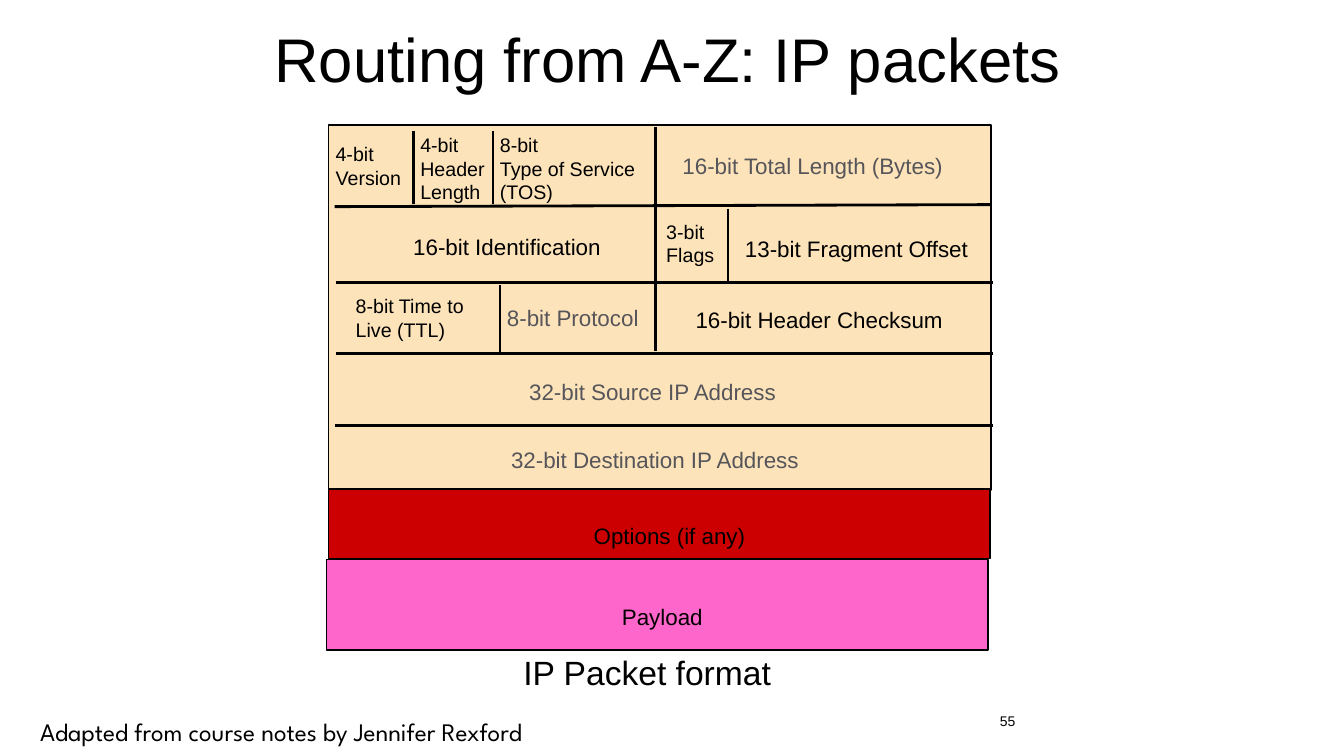
from lxml import etree
from pptx import Presentation
from pptx.dml.color import RGBColor
from pptx.enum.shapes import MSO_CONNECTOR, MSO_SHAPE
from pptx.enum.text import MSO_ANCHOR, MSO_AUTO_SIZE, PP_ALIGN
from pptx.oxml.ns import qn
from pptx.util import Emu, Pt

PX = 9144  # 100 px to the inch
RECT = MSO_SHAPE.RECTANGLE
LINE = MSO_CONNECTOR.STRAIGHT
MID = MSO_ANCHOR.MIDDLE
TOP = MSO_ANCHOR.TOP
LEFT = PP_ALIGN.LEFT
MIDDLE = PP_ALIGN.CENTER
GROW = MSO_AUTO_SIZE.SHAPE_TO_FIT_TEXT
FIXED = MSO_AUTO_SIZE.NONE

HUES = {"ink": "000000", "gray": "56555A", "head": "FDE3BA",
        "opts": "CC0000", "load": "FF66CC"}

# Packet parts: left, top, width, height, fill
BANDS = [
    (326, 124, 657, 362, "head"),
    (326, 485, 656, 69, "opts"),
    (324, 555, 656, 90, "load"),
]

# Rules between the fields: start and end points
RULES = [
    (332, 205, 983, 203),
    (333, 280, 985, 280),
    (333, 351, 985, 351),
    (332, 422, 985, 422),
    (650, 126, 650, 348),
    (410, 130, 410, 202),
    (489, 130, 489, 202),
    (722, 207, 722, 279),
    (496, 283, 496, 349),
]

# Field names: left, top, width, text, colour
FIELDS = [
    (323, 136, 91, "4-bit\nVersion", "ink"),
    (407, 127, 86, "4-bit\nHeader\nLength", "ink"),
    (486, 127, 163, "8-bit\nType of Service\n(TOS)", "ink"),
    (667, 146, 300, "16-bit Total Length (Bytes)", "gray"),
    (400, 226, 206, "16-bit Identification", "ink"),
    (651, 213, 70, "3-bit\nFlags", "ink"),
    (729, 228, 243, "13-bit Fragment Offset", "ink"),
    (343, 287, 140, "8-bit Time to\nLive (TTL)", "ink"),
    (493, 297, 163, "8-bit Protocol", "gray"),
    (680, 299, 265, "16-bit Header Checksum", "ink"),
    (515, 370, 283, "32-bit Source IP Address", "gray"),
    (497, 438, 329, "32-bit Destination IP Address", "gray"),
    (579, 513, 171, "Options (if any)", "ink"),
    (607, 593, 100, "Payload", "ink"),
]


def px(*nums):
    return [Emu(n * PX) for n in nums]


def hue(name):
    return RGBColor.from_string(HUES[name])


def style(frame, text, size, tint="ink", face="Arial", align=LEFT):
    frame.text = text
    for para in frame.paragraphs:
        para.alignment = align
        for run in para.runs:
            run.font.size = Pt(size)
            run.font.name = face
            run.font.color.rgb = hue(tint)


def fill_holder(holder, box, text, size, align, anchor):
    holder.left, holder.top, holder.width, holder.height = px(*box)
    frame = holder.text_frame
    frame.auto_size = FIXED
    frame.vertical_anchor = anchor
    style(frame, text, size, align=align)
    para = frame.paragraphs[0]
    props = para._p.get_or_add_pPr()
    props.set("marL", "0")
    props.set("indent", "0")
    etree.SubElement(props, qn("a:buNone"))
    para.line_spacing = 0.9
    para.space_before = Pt(0)


def add_text(slide, box, text, size, **look):
    frame = slide.shapes.add_textbox(*px(*box)).text_frame
    frame.word_wrap = False
    frame.auto_size = GROW
    style(frame, text, size, **look)


def add_band(slide, box, tint):
    band = slide.shapes.add_shape(RECT, *px(*box))
    band.shadow.inherit = False
    band.fill.solid()
    band.fill.fore_color.rgb = hue(tint)
    band.line.color.rgb = hue("ink")
    band.line.width = Pt(1)


def add_rule(slide, ends):
    rule = slide.shapes.add_connector(LINE, *px(*ends))
    rule.line.color.rgb = hue("ink")
    rule.line.width = Pt(2)
    etree.SubElement(rule._element.spPr, qn("a:effectLst"))


def add_page(slide, box, text):
    frame = slide.shapes.add_textbox(*px(*box)).text_frame
    frame.word_wrap = True
    frame.vertical_anchor = MID
    style(frame, text, 10, align=MIDDLE)


def main():
    deck = Presentation()
    deck.slide_width, deck.slide_height = px(1333, 750)
    slide = deck.slides.add_slide(deck.slide_layouts[1])

    # Title, caption and footer
    title, body = slide.placeholders
    fill_holder(title, (43, 15, 1239, 95), "Routing from A-Z: IP packets",
                44, MIDDLE, MID)
    fill_holder(body, (509, 646, 498, 39), "IP Packet format", 24, LEFT, TOP)
    add_page(slide, (883, 695, 233, 40), "55")
    add_text(slide, (30, 706, 600, 40),
             "Adapted from course notes by Jennifer Rexford", 18,
             face="League Spartan")

    # Packet diagram
    for *box, tint in BANDS:
        add_band(slide, box, tint)
    for ends in RULES:
        add_rule(slide, ends)
    for left, top, width, text, tint in FIELDS:
        rows = text.count("\n") + 1
        size = 14 if rows > 1 else 16
        high = 36 if rows == 1 else 8 + 24 * rows
        add_text(slide, (left, top, width, high), text, size, tint=tint)

    deck.save("out.pptx")


if __name__ == "__main__":
    main()
